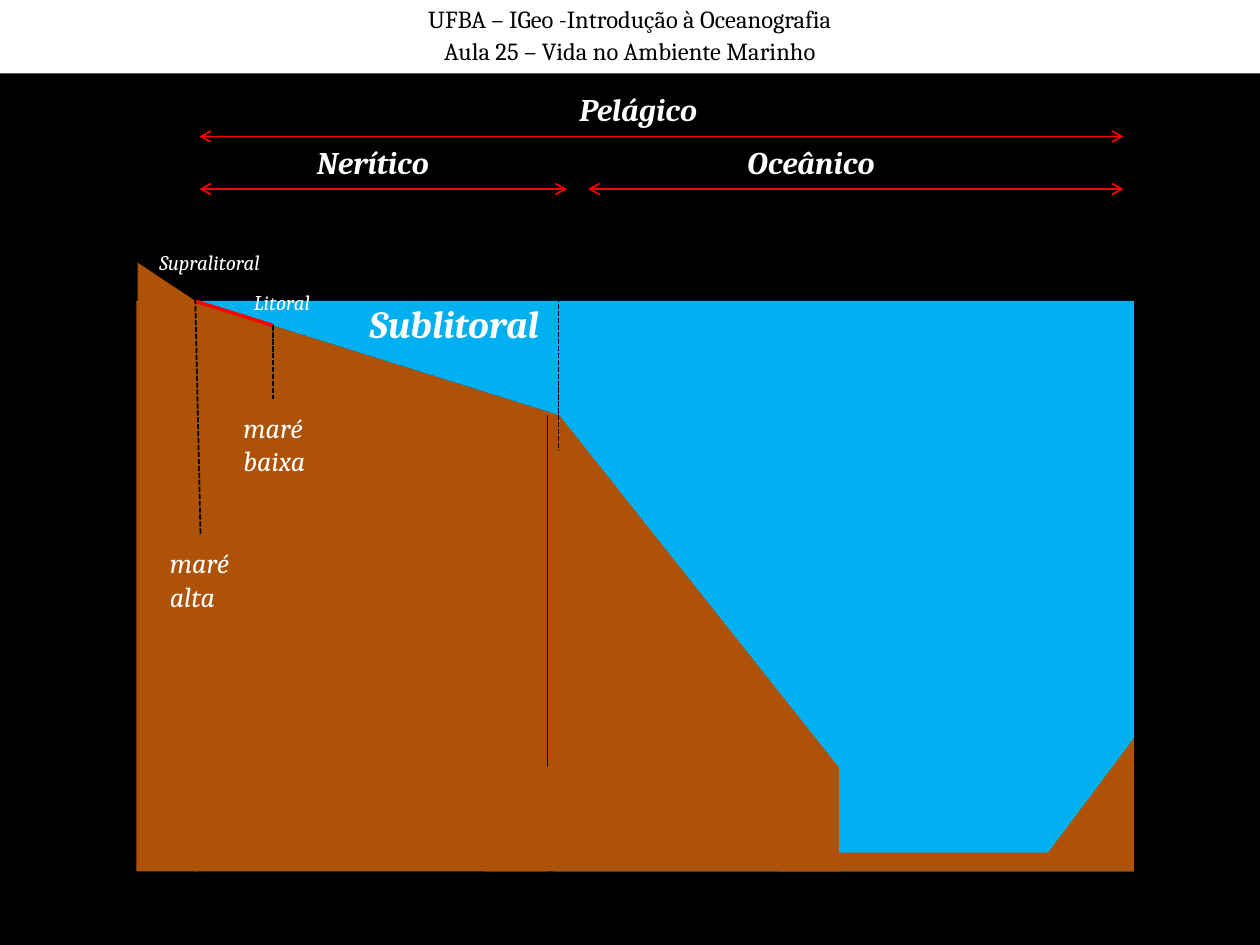
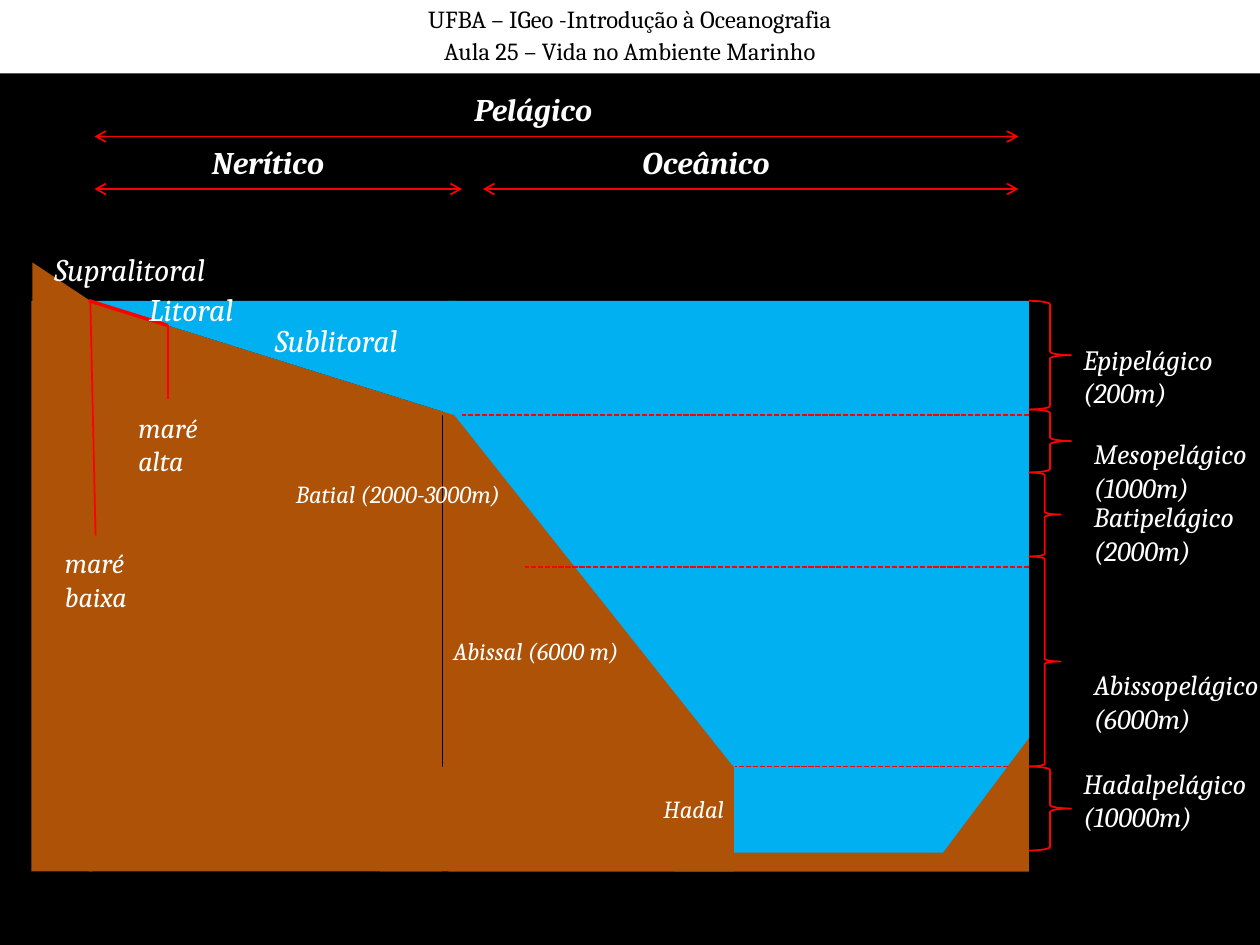
from dataclasses import dataclass

import lxml.etree
import pptx
import pptx.dml.color
import pptx.enum.dml
import pptx.enum.shapes
import pptx.enum.text
import pptx.oxml.ns
import pptx.util

KIND = pptx.enum.shapes.MSO_SHAPE
COLS, ROWS = 120, 90
UNIT = pptx.util.Inches(10) / COLS


# Theme and records; places and sizes are grid columns and rows
@dataclass(frozen=True)
class Theme:
    font: str = "Cambria"
    black: str = "000000"
    white: str = "FFFFFF"
    red: str = "FF0000"
    sea: str = "00B0F0"
    rock: str = "AD5207"
    tiny: int = 12
    small: int = 14
    text: int = 16
    large: int = 18
    huge: int = 22


THEME = Theme()


@dataclass(frozen=True)
class Block:
    kind: KIND
    left: float
    top: float
    width: float
    height: float
    fill: str = THEME.rock
    turn: int = 0


@dataclass(frozen=True)
class Line:
    x1: float
    y1: float
    x2: float
    y2: float
    color: str = THEME.red
    width: float = 1
    dash: bool = False
    arrows: bool = False


@dataclass(frozen=True)
class Label:
    text: str
    left: float
    top: float
    width: float
    height: float
    size: int = THEME.text
    bold: bool = False


@dataclass(frozen=True)
class Zone:
    name: str
    top: float
    bottom: float
    reach: float
    left: float
    row: float


# Content, measured from the left edge of the section
HEAD = "UFBA – IGeo -Introdução à Oceanografia\nAula 25 – Vida no Ambiente Marinho"
HEAD_ROWS = 7
BASIN = [
    Block(KIND.RECTANGLE, 42.7, 28.65, 55.3, 54.35, THEME.sea),
    Block(KIND.RIGHT_TRIANGLE, 8.5, 28.65, 34.8, 10.9),
    Block(KIND.RIGHT_TRIANGLE, 42.2, 38.2, 27.7, 34.9),
    Block(KIND.RIGHT_TRIANGLE, 8.5, 28.65, 34.8, 10.9, THEME.sea, 180),
    Block(KIND.RECTANGLE, 8.5, 39.4, 33.6, 43.6),
    Block(KIND.RECTANGLE, 64.3, 81.2, 33.7, 1.8),
    Block(KIND.RECTANGLE, 3, 28.65, 5.8, 54.35),
    Block(KIND.RIGHT_TRIANGLE, 3.1, 25, 5.5, 3.65),
    Block(KIND.RIGHT_TRIANGLE, 87.5, 71.8, 12, 9, turn=270),
    Block(KIND.RECTANGLE, 36.2, 73, 33.7, 10),
]
SPANS = [
    Line(9, 13, 97, 13, arrows=True),
    Line(9, 18, 44, 18, arrows=True),
    Line(46, 18, 97, 18, arrows=True),
    Line(8.5, 28.65, 16, 31, width=2),
]
REALMS = [
    Label("Pelágico", 44, 8, 17, 4.8, THEME.large, True),
    Label("Nerítico", 19, 13, 15, 4.8, THEME.large, True),
    Label("Oceânico", 60, 13, 15, 4.8, THEME.large, True),
]
DEPTHS = [
    Line(98, 39.5, 44, 39.5, dash=True),
    Line(98, 54, 50, 54, dash=True),
    Line(96, 73, 70, 73, dash=True),
]
FLOORS = [
    Label("Batial (2000-3000m)", 27, 45, 26, 4, THEME.small),
    Label("Abissal (6000 m)", 42, 60, 26, 4, THEME.small),
    Label("Hadal", 62, 75, 26, 4, THEME.small),
]
ZONES = [
    Zone("Epipelágico\n(200m)", 28.65, 39, 4, 102, 32),
    Zone("Mesopelágico\n(1000m)", 39, 45, 4, 103, 41),
    Zone("Batipelágico\n(2000m)", 45, 53, 3, 103, 47),
    Zone("Abissopelágico\n(6000m)", 53, 73, 3, 103, 63),
    Zone("Hadalpelágico\n(10000m)", 73, 81, 4, 102, 72.4),
]


def grid(count: float) -> pptx.util.Emu:
    return pptx.util.Emu(round(count * UNIT))


def rgb(color: str) -> pptx.dml.color.RGBColor:
    return pptx.dml.color.RGBColor.from_string(color)


def style(frame, text: str, size: int, color: str, bold: bool = False, slant: bool = False) -> None:
    frame.word_wrap = True
    frame.text = text
    for para in frame.paragraphs:
        font = para.font
        font.name, font.size = THEME.font, pptx.util.Pt(size)
        font.bold, font.italic = bold, slant
        font.color.rgb = rgb(color)


@dataclass
class Board:
    """One slide with the section shifted right by some columns."""

    slide: object
    shift: float

    def shape(self, kind: KIND, left: float, top: float, width: float, height: float):
        item = self.slide.shapes.add_shape(
            kind, grid(left + self.shift), grid(top), grid(width), grid(height))
        item.shadow.inherit = False
        return item

    def block(self, block: Block) -> None:
        item = self.shape(block.kind, block.left, block.top, block.width, block.height)
        item.rotation = block.turn
        item.fill.solid()
        item.fill.fore_color.rgb = rgb(block.fill)
        item.line.fill.background()

    def line(self, line: Line) -> None:
        item = self.slide.shapes.add_connector(
            pptx.enum.shapes.MSO_CONNECTOR.STRAIGHT,
            grid(line.x1 + self.shift), grid(line.y1),
            grid(line.x2 + self.shift), grid(line.y2))
        item.line.color.rgb = rgb(line.color)
        item.line.width = pptx.util.Pt(line.width)
        if line.dash:
            item.line.dash_style = pptx.enum.dml.MSO_LINE.SQUARE_DOT
        qn = pptx.oxml.ns.qn
        props = item._element.spPr
        if line.arrows:
            for end in ("a:headEnd", "a:tailEnd"):
                lxml.etree.SubElement(props.find(qn("a:ln")), qn(end), type="arrow")
        lxml.etree.SubElement(props, qn("a:effectLst"))

    def label(self, label: Label) -> None:
        box = self.slide.shapes.add_textbox(
            grid(label.left + self.shift), grid(label.top),
            grid(label.width), grid(label.height))
        style(box.text_frame, label.text, label.size, THEME.white, label.bold, True)

    def zone(self, zone: Zone) -> None:
        brace = self.shape(KIND.RIGHT_BRACE, 98, zone.top, zone.reach, zone.bottom - zone.top)
        brace.fill.background()
        brace.line.color.rgb = rgb(THEME.red)
        brace.line.width = pptx.util.Pt(1)
        self.label(Label(zone.name, zone.left, zone.row, 19, 7.7))

    def head(self) -> None:
        title = self.slide.shapes.title
        title.left, title.top = grid(0), grid(0)
        title.width, title.height = grid(COLS), grid(HEAD_ROWS)
        title.fill.solid()
        title.fill.fore_color.rgb = rgb(THEME.white)
        frame = title.text_frame
        frame.auto_size = pptx.enum.text.MSO_AUTO_SIZE.NONE
        frame.vertical_anchor = pptx.enum.text.MSO_ANCHOR.MIDDLE
        style(frame, HEAD, THEME.small, THEME.black)
        for index, para in enumerate(frame.paragraphs):
            para.alignment = pptx.enum.text.PP_ALIGN.CENTER
            para.line_spacing = 0.9
            para.space_before = pptx.util.Pt(3.5 if index else 0)

    def shore(self, size: int, tides: tuple[str, str], color: str, dash: bool) -> None:
        self.line(Line(8.6, 28.5, 9.1, 51, color, dash=dash))
        self.line(Line(16, 31, 16, 38, color, dash=dash))
        self.label(Label(tides[0], 12, 38.5, 9, 7.7))
        self.label(Label(tides[1], 5, 51.4, 9, 7.7))
        self.label(Label("Supralitoral", 4, 23.2, 22, 4.8, size))
        self.label(Label("Litoral", 13, 27, 12, 4.8, size))


def start(deck, shift: float) -> Board:
    board = Board(deck.slides.add_slide(deck.slide_layouts[5]), shift)
    board.head()
    for block in BASIN:
        board.block(block)
    for line in SPANS:
        board.line(line)
    for label in REALMS:
        board.label(label)
    return board


def main() -> None:
    deck = pptx.Presentation()
    deck.slide_width, deck.slide_height = grid(COLS), grid(ROWS)
    back = deck.slide_master.background.fill
    back.solid()
    back.fore_color.rgb = rgb(THEME.black)

    # Slide 1: the shore zones
    coast = start(deck, 10)
    coast.shore(THEME.tiny, ("maré baixa", "maré alta"), THEME.black, True)
    coast.label(Label("Sublitoral", 24, 28, 21, 5.5, THEME.huge, True))
    coast.line(Line(43.2, 25, 43.2, 43, THEME.black, dash=True))

    # Slide 2: the depth zones
    deep = start(deck, 0)
    deep.shore(THEME.large, ("maré alta", "maré baixa"), THEME.red, False)
    deep.label(Label("Sublitoral", 25, 30, 19, 4.8, THEME.large))
    for zone in ZONES:
        deep.zone(zone)
    for line in DEPTHS:
        deep.line(line)
    for label in FLOORS:
        deep.label(label)

    deck.save("out.pptx")


if __name__ == "__main__":
    main()
